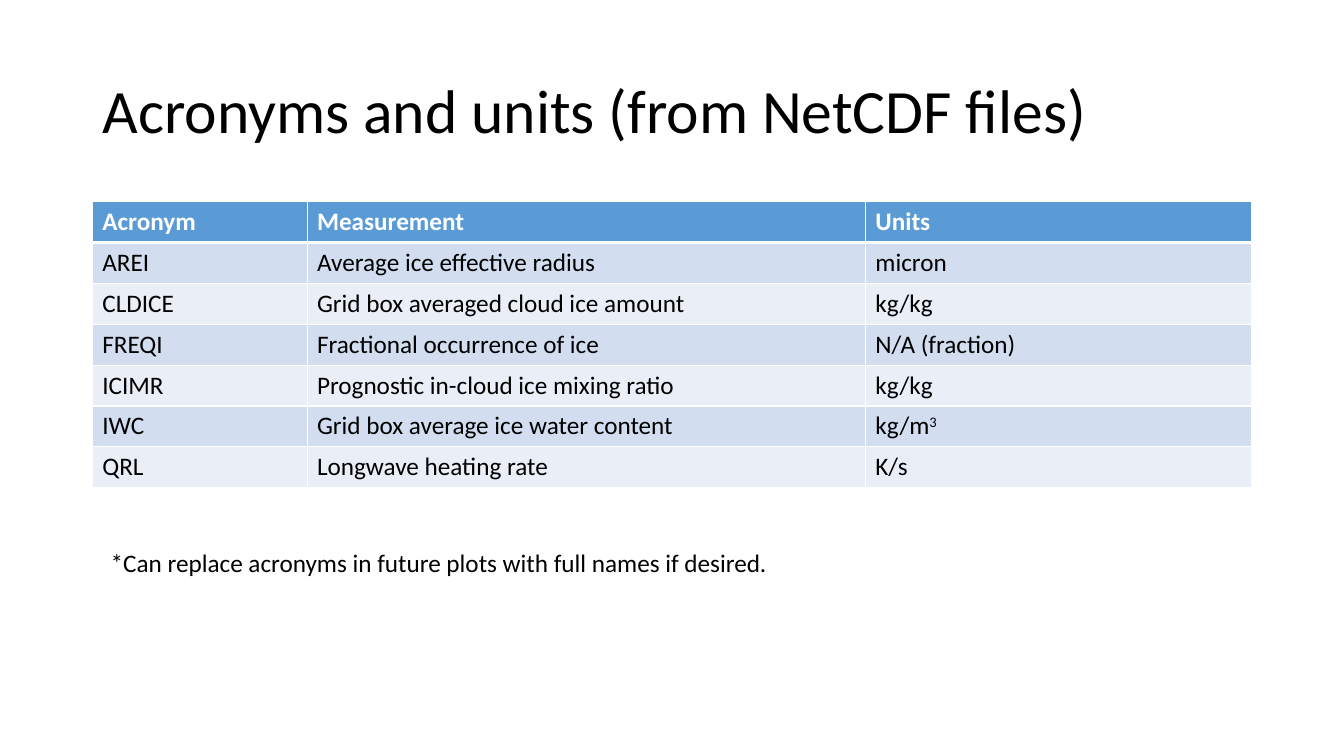
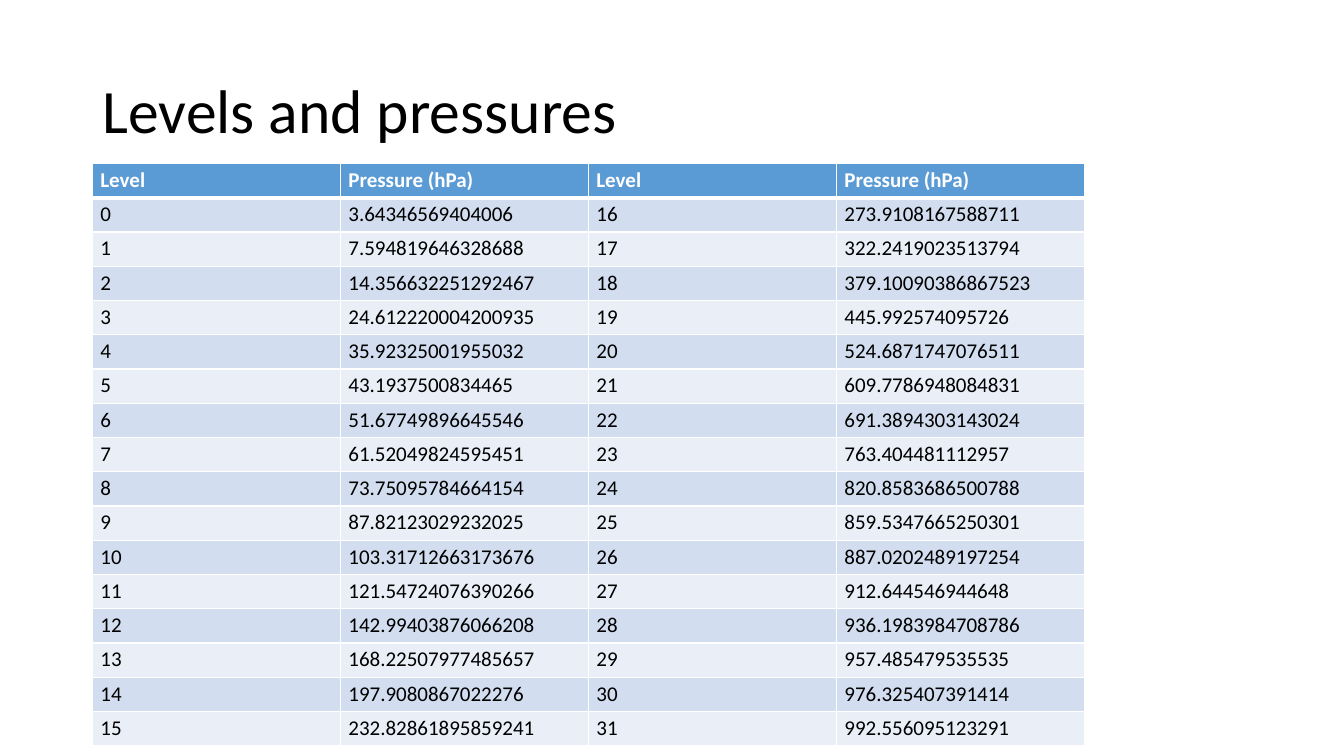
import dataclasses

import pptx
import pptx.dml.color
import pptx.enum.text
import pptx.oxml
import pptx.oxml.ns
import pptx.util

Cm = pptx.util.Cm
Pt = pptx.util.Pt


def tint(code):
    return pptx.dml.color.RGBColor.from_string(code)


@dataclasses.dataclass(frozen=True)
class Theme:
    font: str = "Calibri"
    ink: str = "000000"
    paper: str = "FFFFFF"
    head: str = "5B9BD5"
    bands: tuple = ("D2DEEF", "EAEFF7")
    title: float = 44
    body: float = 18
    dense: float = 15
    rule: float = 1
    thick: float = 3


THEME = Theme()
LEFT = 2.33
TITLE_BOX = (LEFT, 1.01, 29.21, 3.68)

TERMS = [
    ("Acronym", "Measurement", "Units"),
    ("AREI", "Average ice effective radius", "micron"),
    ("CLDICE", "Grid box averaged cloud ice amount", "kg/kg"),
    ("FREQI", "Fractional occurrence of ice", "N/A (fraction)"),
    ("ICIMR", "Prognostic in-cloud ice mixing ratio", "kg/kg"),
    ("IWC", "Grid box average ice water content", "kg/m^3"),
    ("QRL", "Longwave heating rate", "K/s"),
]
NOTE = "*Can replace acronyms in future plots with full names if desired."

LEVELS = """
3.64346569404006 7.594819646328688 14.356632251292467 24.612220004200935
35.92325001955032 43.1937500834465 51.67749896645546 61.52049824595451
73.75095784664154 87.82123029232025 103.31712663173676 121.54724076390266
142.99403876066208 168.22507977485657 197.9080867022276 232.82861895859241
273.9108167588711 322.2419023513794 379.10090386867523 445.992574095726
524.6871747076511 609.7786948084831 691.3894303143024 763.404481112957
820.8583686500788 859.5347665250301 887.0202489197254 912.644546944648
936.1983984708786 957.485479535535 976.325407391414 992.556095123291
""".split()


def style(para, size, color=THEME.ink, bold=False):
    font = para.font
    font.name, font.size, font.bold = THEME.font, Pt(size), bold
    font.color.rgb = tint(color)


def start(deck, text):
    """Add a slide with its title and return it."""
    slide = deck.slides.add_slide(deck.slide_layouts[5])
    title = slide.shapes.title
    title.left, title.top, title.width, title.height = map(Cm, TITLE_BOX)
    frame = title.text_frame
    frame.text = text
    frame.auto_size = pptx.enum.text.MSO_AUTO_SIZE.NONE
    frame.vertical_anchor = pptx.enum.text.MSO_ANCHOR.MIDDLE
    para = frame.paragraphs[0]
    para.alignment = pptx.enum.text.PP_ALIGN.LEFT
    para.line_spacing = 0.9
    style(para, THEME.title)
    return slide


def border(cell, top, base):
    """Draw the four edges; must run before the fill is set."""
    space = pptx.oxml.ns.nsdecls("a")
    edges = {"L": THEME.rule, "R": THEME.rule, "T": top, "B": base}
    for side, width in edges.items():
        cell._tc.get_or_add_tcPr().append(pptx.oxml.parse_xml(
            f'<a:ln{side} {space} w="{Pt(width)}"><a:solidFill>'
            f'<a:srgbClr val="{THEME.paper}"/></a:solidFill></a:ln{side}>'))


def write(para, text):
    """Write text; what follows a caret is raised."""
    base, _, power = text.partition("^")
    para.add_run().text = base
    if power:
        run = para.add_run()
        run.text = power
        run._r.get_or_add_rPr().set("baseline", "30000")


def grid(slide, box, rows, widths, size, inset):
    """Fill the box with a banded table; widths are shares of the box."""
    left, top, width, height = box
    table = slide.shapes.add_table(
        len(rows), len(widths), *map(Cm, box)).table
    table.horz_banding = False
    for column, share in zip(table.columns, widths):
        column.width = Cm(width * share / sum(widths))
    for i, texts in enumerate(rows):
        table.rows[i].height = Cm(height / len(rows))
        fill = THEME.bands[(i - 1) % 2] if i else THEME.head
        for j, text in enumerate(texts):
            cell = table.cell(i, j)
            cell.margin_left = cell.margin_right = Cm(inset)
            cell.margin_top = cell.margin_bottom = Cm(inset / 2)
            border(cell, THEME.thick if i == 1 else THEME.rule,
                   THEME.rule if i else THEME.thick)
            cell.fill.solid()
            cell.fill.fore_color.rgb = tint(fill)
            para = cell.text_frame.paragraphs[0]
            write(para, text)
            style(para, size, THEME.ink if i else THEME.paper, not i)


def note(slide, box, text):
    frame = slide.shapes.add_textbox(*map(Cm, box)).text_frame
    frame.word_wrap = False
    frame.auto_size = pptx.enum.text.MSO_AUTO_SIZE.SHAPE_TO_FIT_TEXT
    frame.text = text
    style(frame.paragraphs[0], THEME.body)


def terms(deck):
    slide = start(deck, "Acronyms and units (from NetCDF files)")
    grid(slide, (LEFT, 5.08, 29.21, 7.21), TERMS, (2.13, 5.54, 3.83),
         THEME.body, 0.25)
    note(slide, (2.54, 13.67, 17.73, 1.02), NOTE)


def levels(deck):
    slide = start(deck, "Levels and pressures")
    half = len(LEVELS) // 2
    rows = [("Level", "Pressure (hPa)") * 2]
    for i in range(half):
        rows.append((str(i), LEVELS[i], str(i + half), LEVELS[i + half]))
    grid(slide, (LEFT, 4.12, 25, 14.68), rows, (1,) * 4, THEME.dense, 0.2)


def main():
    deck = pptx.Presentation()
    deck.slide_width, deck.slide_height = Cm(33.87), Cm(19.05)
    terms(deck)
    levels(deck)
    deck.save("out.pptx")


if __name__ == "__main__":
    main()
